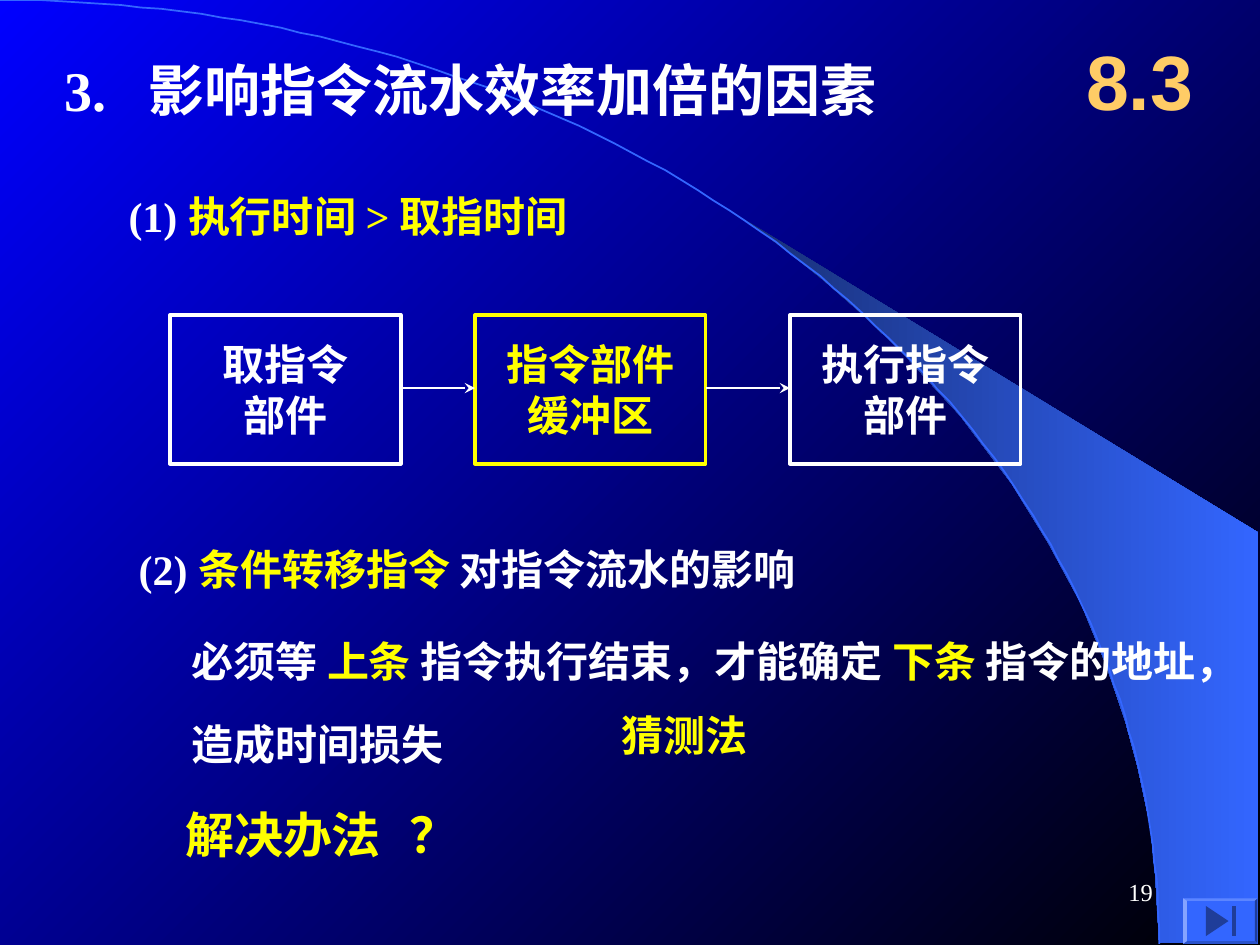
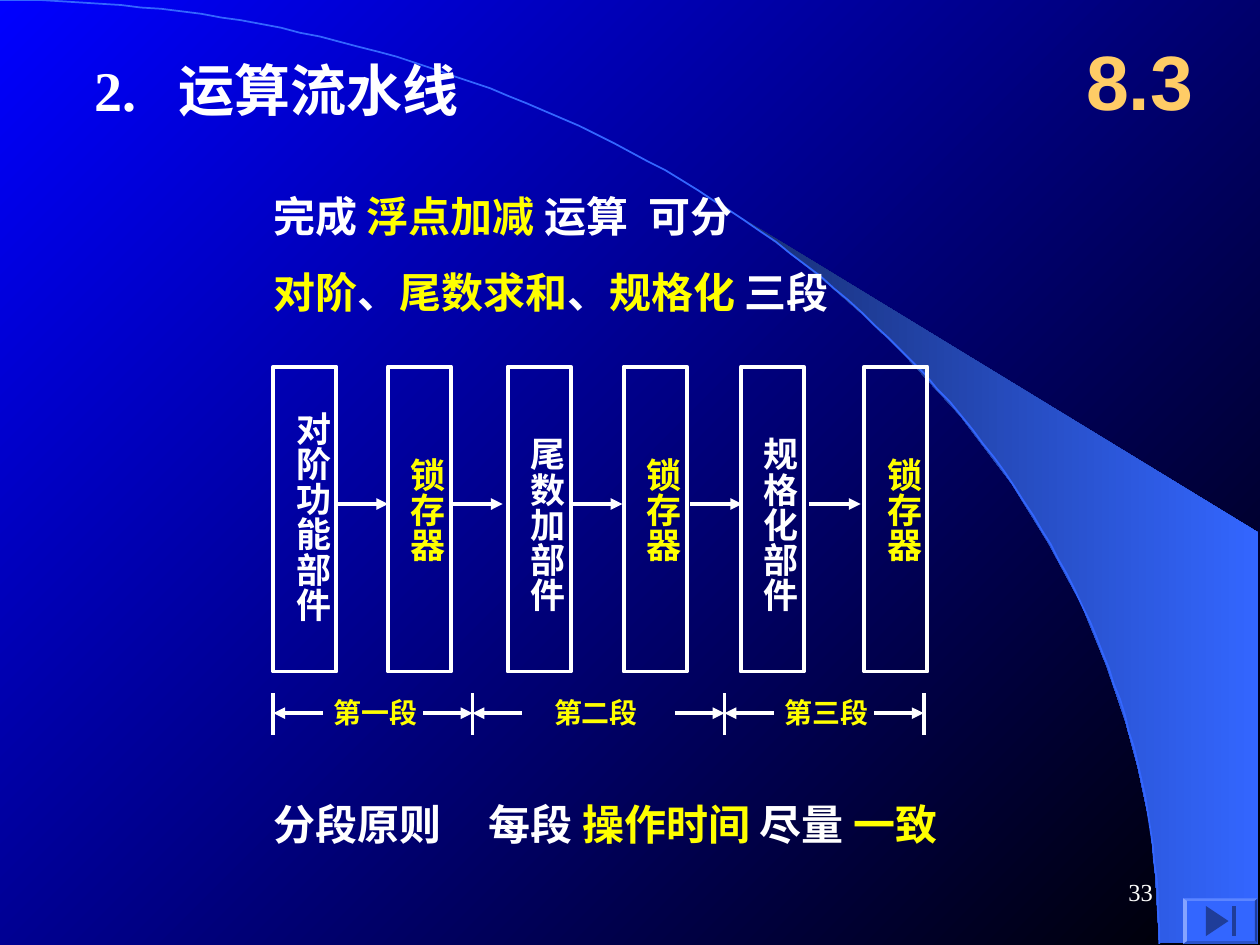
from math import cos, pi, sin

from pptx import Presentation
from pptx.dml.color import RGBColor
from pptx.enum.shapes import MSO_CONNECTOR, MSO_SHAPE
from pptx.enum.text import MSO_ANCHOR, PP_ALIGN
from pptx.oxml.ns import qn
from pptx.util import Pt
from lxml.etree import SubElement

PX = 9144  # EMU per px, 100 px to the inch
WHITE, YELLOW, GOLD = "FFFFFF", "FFFF00", "FFCC66"
BLUE, BLACK, NAVY, AZURE = "0000FF", "000000", "182F76", "3366FF"
rgb = RGBColor.from_string


def add_box(s, x, y, w, h, lines=(), size=24, accent=YELLOW, outline=None,
            align=PP_ALIGN.LEFT, anchor=MSO_ANCHOR.MIDDLE, font="Times New Roman",
            bold=True, spacing=None, tab=None, vertical=False):
    """Add a text box, or a rectangle if outlined; text between asterisks is in accent."""
    place = [v * PX for v in (x, y, w, h)]
    if outline:
        sp = s.shapes.add_shape(MSO_SHAPE.RECTANGLE, *place)
        sp.shadow.inherit = False
        sp.fill.background()
        sp.line.color.rgb = rgb(outline)
        sp.line.width = Pt(2.25)
    else:
        sp = s.shapes.add_textbox(*place)
    tf = sp.text_frame
    tf.word_wrap = True
    tf.vertical_anchor = anchor
    tf.margin_left = tf.margin_top = tf.margin_right = tf.margin_bottom = 0
    if vertical:
        tf._txBody.bodyPr.set("vert", "eaVert")
    for n, line in enumerate(lines):
        p = tf.add_paragraph() if n else tf.paragraphs[0]
        p.alignment = align
        if spacing:
            p.line_spacing = spacing
        if tab:
            tabs = SubElement(p._p.get_or_add_pPr(), qn("a:tabLst"))
            SubElement(tabs, qn("a:tab"), pos=str(tab * PX), algn="l")
        for i, part in enumerate(line.split("*")):
            if part:
                r = p.add_run()
                r.text = part
                r.font.name, r.font.size, r.font.bold = font, Pt(size), bold
                r.font.color.rgb = rgb(accent if i % 2 else WHITE)


def add_line(s, x1, y1, x2, y2, head=None, width=2.25):
    ln = s.shapes.add_connector(MSO_CONNECTOR.STRAIGHT, *[v * PX for v in (x1, y1, x2, y2)])
    ln.line.color.rgb = rgb(WHITE)
    ln.line.width = Pt(width)
    if head:
        SubElement(ln.line._get_or_add_ln(), qn("a:tailEnd"), type=head)
    SubElement(ln._element.spPr, qn("a:effectLst"))


prs = Presentation()
prs.slide_width, prs.slide_height = 1000 * PX, 750 * PX

# Shared backdrop: crescent, arc, chapter number, page number and end button
crescent = [(920, 748), (999, 749), (999, 423), (589, 173), (624, 199), (653, 222),
            (685, 250), (716, 280), (762, 330), (803, 384), (832, 431), (858, 479),
            (878, 528), (893, 572), (903, 609), (913, 656), (917, 696)]
steps = 90
arc = [(round(920 * sin(pi / 2 * i / steps)), round(749 * (1 - cos(pi / 2 * i / steps))))
       for i in range(steps + 1)]
outer = [(939, 713), (998, 713), (998, 749), (939, 749)]
inner = [(942, 715), (996, 715), (996, 747), (942, 747)]
button = [(outer, AZURE)]
for i, shade in enumerate(("5C85FF", "1F3D99", "2952CC", "85A3FF")):
    j = (i + 1) % 4
    button.append(([outer[i], outer[j], inner[j], inner[i]], shade))
button += [([(975, 731), (957, 743), (957, 719)], "1F3D99"),
           ([(978, 719), (978, 743), (981, 743), (981, 719)], "1F3D99")]

slides = []
for number in ("19", "33"):
    s = prs.slides.add_slide(prs.slide_layouts[6])
    slides.append(s)
    outlines = [(crescent, None), (arc, None)] + button
    backdrop = []
    for points, colour in outlines:
        fb = s.shapes.build_freeform(*points[0], scale=PX)
        fb.add_line_segments(points[1:], close=points is not arc)
        sp = fb.convert_to_shape()
        sp.shadow.inherit = False
        sp.line.fill.background()
        if colour:
            sp.fill.solid()
            sp.fill.fore_color.rgb = rgb(colour)
        backdrop.append(sp)
    backdrop[1].fill.background()
    backdrop[1].line.color.rgb = rgb(AZURE)
    backdrop[1].line.width = Pt(1)
    for fill, angle, colours in ((s.background.fill, 315, (BLUE, BLACK)),
                                 (backdrop[0].fill, 0, (NAVY, AZURE))):
        fill.gradient()
        fill.gradient_angle = angle
        for stop, position, colour in zip(fill.gradient_stops, (0, 1), colours):
            stop.position = position
            stop.color.rgb = rgb(colour)
    add_box(s, 842, 17, 125, 92, ["*8.3"], 44, GOLD, align=PP_ALIGN.CENTER, font="Arial")
    add_box(s, 717, 683, 198, 50, [number], 14, align=PP_ALIGN.RIGHT, bold=False)

# Slide 1: factors that limit the speed-up
s = slides[0]
add_box(s, 51, 42, 692, 58, ["3.\t影响指令流水效率加倍的因素"], 32, tab=67)
add_box(s, 102, 142, 512, 58, ["(1) *执行时间 > 取指时间"])
for x, colour, lines in ((135, WHITE, ("取指令", "部件")),
                         (377, YELLOW, ("*指令部件", "*缓冲区")),
                         (627, WHITE, ("执行指令", "部件"))):
    add_box(s, x, 250, 183, 118, lines, outline=colour, align=PP_ALIGN.CENTER)
for x1, x2 in ((319, 377), (560, 627)):
    add_line(s, x1, 308, x2, 308, "stealth", 1.5)
add_box(s, 110, 422, 700, 58, ["(2) *条件转移指令 *对指令流水的影响"])
add_box(s, 152, 478, 890, 142,
        ["必须等 *上条 *指令执行结束，才能确定 *下条 *指令的地址，", "造成时间损失"],
        anchor=MSO_ANCHOR.TOP, spacing=1.65)
add_box(s, 493, 563, 413, 45, ["*猜测法"], anchor=MSO_ANCHOR.TOP)
add_box(s, 147, 633, 663, 58, ["*解决办法\t？"], 28, tab=178)

# Slide 2: arithmetic pipeline
s = slides[1]
add_box(s, 75, 42, 367, 58, ["2.\t运算流水线"], 32, tab=67)
add_box(s, 217, 125, 708, 133,
        ["完成 *浮点加减 *运算\t可分", "*对阶*、*尾数求和*、*规格化 *三段"],
        spacing=1.5, tab=298)
add_box(s, 217, 625, 625, 58, ["分段原则\t每段 *操作时间 *尽量 *一致"], tab=171)

latch = "*锁存器"
for x, y, unit in ((217, 327, "对阶功能部件"), (308, 363, latch), (403, 347, "尾数加部件"),
                   (495, 363, latch), (588, 347, "规格化部件"), (686, 363, latch)):
    add_box(s, x, 291, 50, 242, outline=WHITE)
    add_box(s, x + 6, y, 50, 28 * len(unit) + 6, [unit], 20, vertical=True)
for x in (267, 358, 453, 548, 642):
    add_line(s, x, 400, x + 41, 400, "triangle")

stage_edges = (217, 375, 575, 733)
for x in stage_edges:
    add_line(s, x, 550, x, 583)
for left, right, middle, stage in zip(stage_edges, stage_edges[1:], (298, 473, 656),
                                      ("第一段", "第二段", "第三段")):
    add_line(s, left + 39, 566, left, 566, "triangle")
    add_line(s, right - 39, 566, right, 566, "triangle")
    add_box(s, middle - 43, 547, 86, 37, ["*" + stage], 16, align=PP_ALIGN.CENTER)

prs.save("out.pptx")
